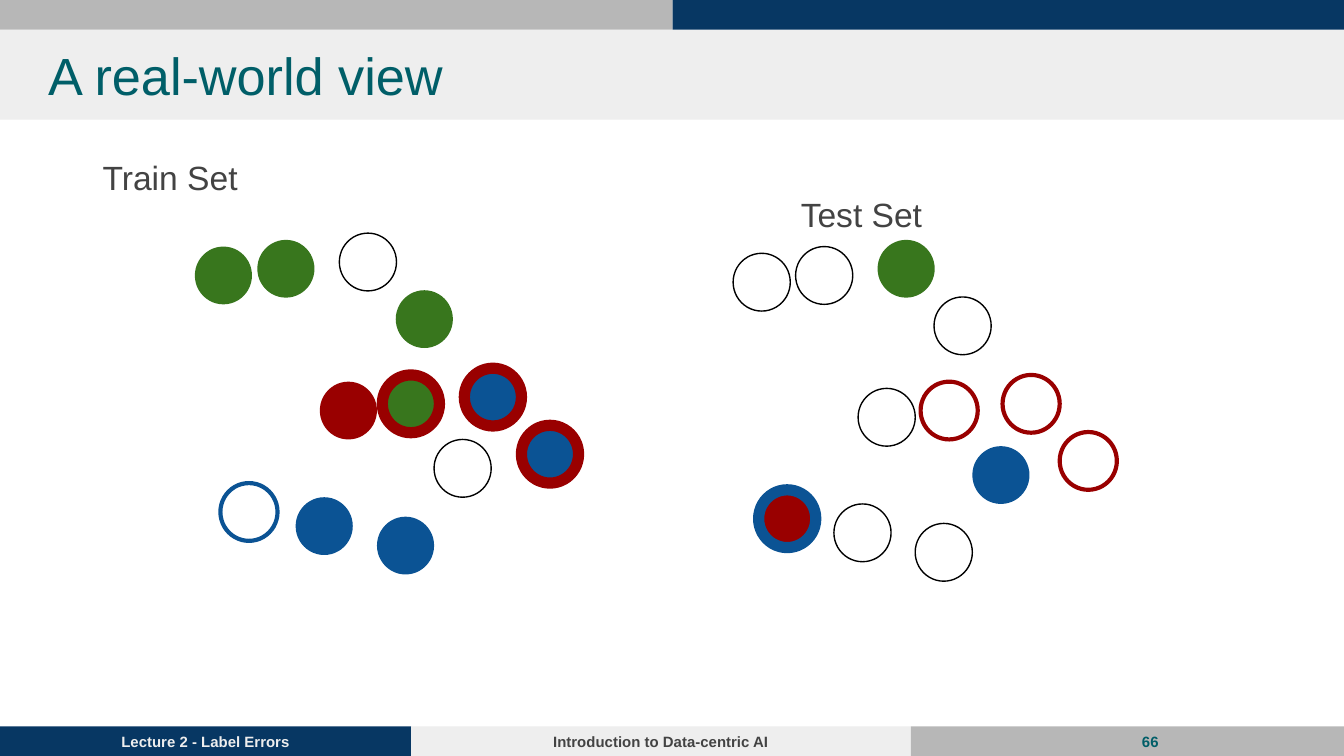
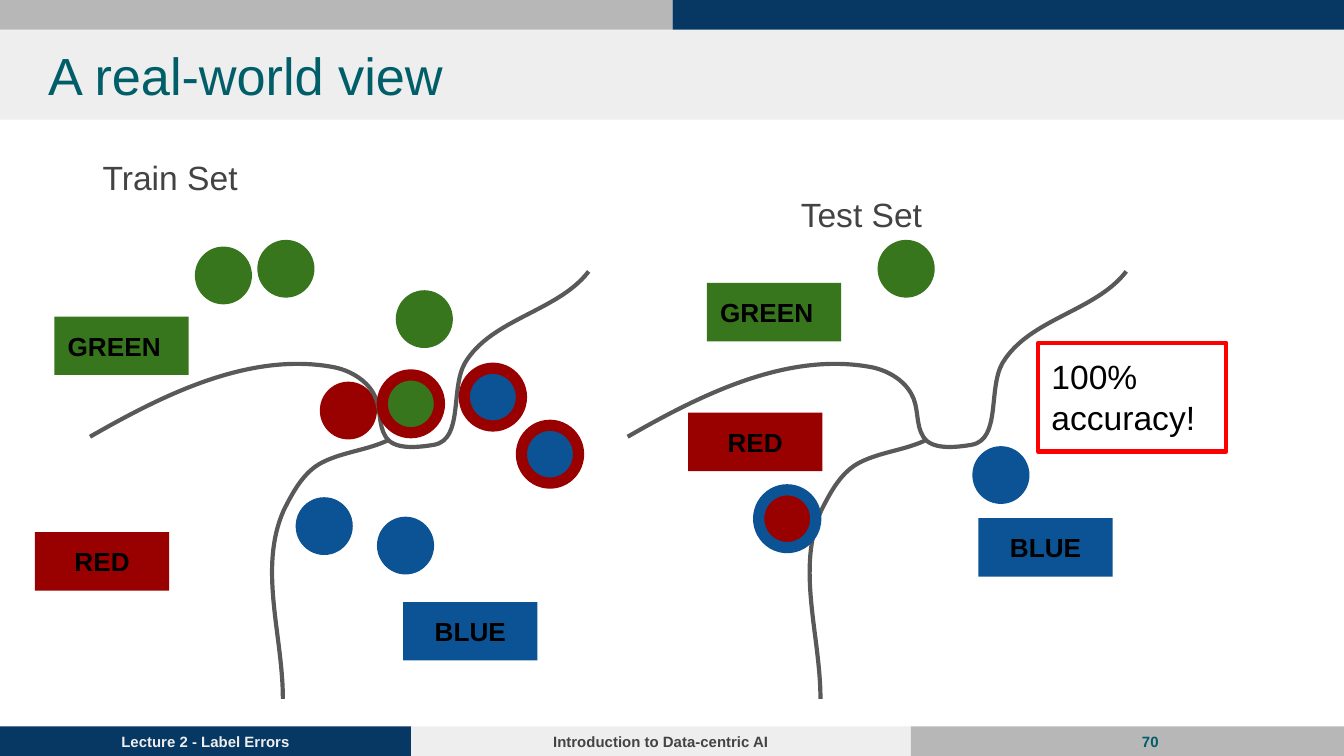
from dataclasses import dataclass
from typing import NamedTuple

from pptx import Presentation
from pptx import util as u
from pptx.dml.color import RGBColor
from pptx.enum import shapes, text
from pptx.oxml.ns import qn
from pptx.oxml.xmlchemy import OxmlElement

PX = 4572  # EMU: two hundred px to the inch
INSET = 20
LEFT, CENTER, RIGHT = text.PP_ALIGN.LEFT, text.PP_ALIGN.CENTER, text.PP_ALIGN.RIGHT
TOP, MIDDLE = text.MSO_ANCHOR.TOP, text.MSO_ANCHOR.MIDDLE


@dataclass(frozen=True)
class Theme:
    font: str = "Arial"
    navy: str = "073763"
    silver: str = "B7B7B7"
    pale: str = "EEEEEE"
    teal: str = "005E68"
    ink: str = "434343"
    black: str = "000000"
    curve: str = "595959"
    alert: str = "FF0000"
    green: str = "38761D"
    red: str = "990000"
    blue: str = "0B5394"
    title_size: int = 28
    body_size: int = 18
    label_size: int = 14
    footer_size: int = 8
    hairline: float = 0.75
    medium: float = 2.25
    thick: float = 6


THEME = Theme()


class Box(NamedTuple):
    left: int
    top: int
    width: int
    height: int


@dataclass(frozen=True)
class Look:
    fill: str | None = None
    line: str | None = None
    weight: float = THEME.hairline


@dataclass(frozen=True)
class Words:
    content: str
    size: int
    color: str
    bold: bool = False
    align: text.PP_ALIGN = LEFT
    anchor: text.MSO_ANCHOR = TOP
    indent: int = 0
    spacing: float | None = None
    after: int = 0
    grow: bool = False


class Band(NamedTuple):
    box: Box
    fill: str
    words: Words | None = None


class Dot(NamedTuple):
    left: int
    top: int
    train: Look
    test: Look


class Tag(NamedTuple):
    left: int
    top: int
    content: str
    fill: str
    align: text.PP_ALIGN = CENTER


def footer_words(content: str, color: str, align: text.PP_ALIGN = CENTER) -> Words:
    return Words(content, THEME.footer_size, color, True, align, MIDDLE)


def heading_words(content: str) -> Words:
    return Words(content, THEME.body_size, THEME.ink, indent=97, spacing=1.15, after=16)


SLIDE_WIDTH, SLIDE_HEIGHT = 2000, 1125
BAR = 44
FOOTER_TOP = SLIDE_HEIGHT - BAR
BANDS = [
    Band(Box(0, BAR, SLIDE_WIDTH, 134), THEME.pale),
    Band(Box(0, FOOTER_TOP, 612, BAR), THEME.navy,
         footer_words("Lecture 2 - Label Errors", THEME.pale)),
    Band(Box(1355, FOOTER_TOP, 645, BAR), THEME.silver),
    Band(Box(0, 0, 1001, BAR), THEME.silver),
    Band(Box(1001, 0, 999, BAR), THEME.navy),
    Band(Box(612, FOOTER_TOP, 743, BAR), THEME.pale,
         footer_words("Introduction to Data-centric AI", THEME.ink)),
]

EMPTY = Look(line=THEME.black)
GREEN, RED, BLUE = Look(THEME.green), Look(THEME.red), Look(THEME.blue)
RED_RING = Look(line=THEME.red, weight=THEME.medium)
BLUE_RING = Look(line=THEME.blue, weight=THEME.medium)
GREEN_IN_RED = Look(THEME.green, THEME.red, THEME.thick)
BLUE_IN_RED = Look(THEME.blue, THEME.red, THEME.thick)
RED_IN_BLUE = Look(THEME.red, THEME.blue, THEME.thick)

DOT_WIDTH, DOT_HEIGHT = 85, 86
TEST_SHIFT = (801, 10)
DOTS = [
    Dot(328, 719, BLUE_RING, RED_IN_BLUE),
    Dot(561, 769, BLUE, EMPTY),
    Dot(440, 740, BLUE, EMPTY),
    Dot(646, 654, EMPTY, BLUE),
    Dot(476, 568, RED, EMPTY),
    Dot(569, 558, GREEN_IN_RED, RED_RING),
    Dot(691, 548, BLUE_IN_RED, RED_RING),
    Dot(776, 633, BLUE_IN_RED, RED_RING),
    Dot(290, 367, GREEN, EMPTY),
    Dot(383, 357, GREEN, EMPTY),
    Dot(505, 347, EMPTY, GREEN),
    Dot(589, 432, GREEN, EMPTY),
]

# Each curve: a start, then two control points and an end per segment.
BOUNDARIES = [
    [(134, 650), (242, 588), (370, 524), (494, 546), (518, 550), (544, 564), (556, 586),
     (568, 606), (562, 632), (574, 650), (586, 670), (622, 666), (646, 662),
     (690, 654), (670, 578), (692, 540), (732, 474), (830, 464), (876, 404)],
    [(580, 654), (548, 670), (512, 672), (480, 688), (452, 702), (436, 732), (422, 760),
     (384, 846), (421, 946), (421, 1040)],
]
CURVE_SHIFT = 800

TRAIN_TAGS = [
    Tag(52, 792, "RED", THEME.red),
    Tag(600, 896, "BLUE", THEME.blue),
    Tag(81, 471, "GREEN", THEME.green, LEFT),
]
TEST_TAGS = [
    Tag(1024, 614, "RED", THEME.red),
    Tag(1456, 771, "BLUE", THEME.blue),
    Tag(1052, 421, "GREEN", THEME.green, LEFT),
]


def emu(box: Box) -> list[int]:
    return [length * PX for length in box]


def paint(shape, look: Look) -> None:
    shape.shadow.inherit = False
    if look.fill:
        shape.fill.solid()
        shape.fill.fore_color.rgb = RGBColor.from_string(look.fill)
    else:
        shape.fill.background()
    if look.line:
        shape.line.color.rgb = RGBColor.from_string(look.line)
        shape.line.width = u.Pt(look.weight)
    else:
        shape.line.fill.background()


def write(shape, words: Words) -> None:
    frame = shape.text_frame
    frame.word_wrap = True
    frame.auto_size = (text.MSO_AUTO_SIZE.SHAPE_TO_FIT_TEXT if words.grow
                       else text.MSO_AUTO_SIZE.NONE)
    frame.vertical_anchor = words.anchor
    frame.margin_left = frame.margin_right = INSET * PX
    frame.margin_top = frame.margin_bottom = INSET * PX
    para = frame.paragraphs[0]
    para.text = words.content
    para.alignment = words.align
    para.line_spacing = words.spacing
    para.space_after = u.Pt(words.after)
    if words.indent:
        para._p.get_or_add_pPr().set("marL", str(words.indent * PX))
    para.font.name = THEME.font
    para.font.size = u.Pt(words.size)
    para.font.bold = words.bold
    para.font.color.rgb = RGBColor.from_string(words.color)


def add_text(page, box: Box, words: Words) -> None:
    write(page.shapes.add_textbox(*emu(box)), words)


def add_rectangle(page, box: Box, look: Look, words: Words | None = None) -> None:
    shape = page.shapes.add_shape(shapes.MSO_SHAPE.RECTANGLE, *emu(box))
    paint(shape, look)
    if words:
        write(shape, words)


def add_dot(page, left: int, top: int, look: Look) -> None:
    box = Box(left, top, DOT_WIDTH, DOT_HEIGHT)
    paint(page.shapes.add_shape(shapes.MSO_SHAPE.OVAL, *emu(box)), look)


def add_tag(page, tag: Tag) -> None:
    words = Words(tag.content, THEME.label_size, THEME.black, True, tag.align, grow=True)
    add_rectangle(page, Box(tag.left, tag.top, 200, 87), Look(tag.fill), words)


def add_curve(group, points: list[tuple[int, int]]) -> None:
    """Draw a polyline through all points, then turn each three segments into a Bézier."""
    builder = group.shapes.build_freeform(*points[0], scale=PX)
    builder.add_line_segments(points[1:], close=False)
    shape = builder.convert_to_shape()
    segments = list(shape.element.iter(qn("a:lnTo")))
    for start in range(0, len(segments), 3):
        bezier = OxmlElement("a:cubicBezTo")
        segments[start].addprevious(bezier)
        for segment in segments[start:start + 3]:
            bezier.append(segment[0])
            segment.getparent().remove(segment)
    paint(shape, Look(line=THEME.curve, weight=THEME.medium))


def add_boundaries(page, shift: int) -> None:
    group = page.shapes.add_group_shape()
    for points in BOUNDARIES:
        add_curve(group, [(x + shift, y) for x, y in points])


def train_dots() -> list[tuple[int, int, Look]]:
    return [(dot.left, dot.top, dot.train) for dot in DOTS]


def test_dots() -> list[tuple[int, int, Look]]:
    right, down = TEST_SHIFT
    return [(dot.left + right, dot.top + down, dot.test) for dot in DOTS]


def add_page(deck, number: int):
    page = deck.slides.add_slide(deck.slide_layouts[6])
    for band in BANDS:
        add_rectangle(page, band.box, Look(band.fill), band.words)
    add_text(page, Box(52, 44, 1864, 134),
             Words("A real-world view", THEME.title_size, THEME.teal))
    add_text(page, Box(1592, 1061, 152, 86), footer_words(str(number), THEME.teal, RIGHT))
    add_text(page, Box(36, 204, 1864, 660), heading_words("Train Set"))
    add_text(page, Box(1075, 260, 566, 98), heading_words("Test Set"))
    return page


def add_all_points(deck) -> None:
    page = add_page(deck, 66)
    for dot in train_dots() + test_dots():
        add_dot(page, *dot)


def add_learned_boundaries(deck) -> None:
    """Keep the labelled dots, with mislabelled ones in front of the boundaries."""
    page = add_page(deck, 70)
    labelled = [dot for dot in train_dots() + test_dots() if dot[2].fill]
    for dot in labelled:
        if not dot[2].line:
            add_dot(page, *dot)
    for shift, tags in ((0, TRAIN_TAGS), (CURVE_SHIFT, TEST_TAGS)):
        add_boundaries(page, shift)
        for tag in tags:
            add_tag(page, tag)
    for dot in labelled:
        if dot[2].line:
            add_dot(page, *dot)
    add_rectangle(page, Box(1545, 510, 280, 162), Look(line=THEME.alert, weight=THEME.medium),
                  Words("100% accuracy!", THEME.body_size, THEME.black, grow=True))


def main() -> None:
    deck = Presentation()
    deck.slide_width, deck.slide_height = SLIDE_WIDTH * PX, SLIDE_HEIGHT * PX
    add_all_points(deck)
    add_learned_boundaries(deck)
    deck.save("out.pptx")


if __name__ == "__main__":
    main()
